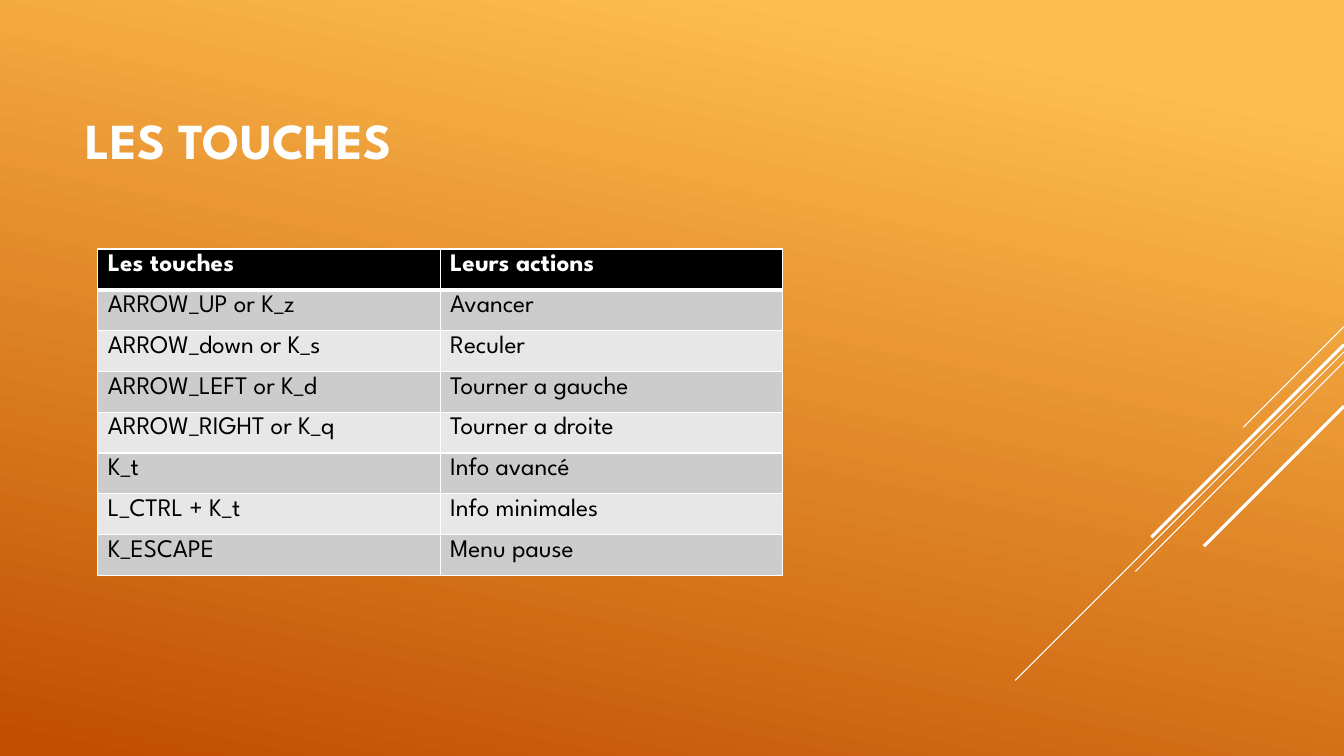
from typing import Any, NamedTuple

from lxml.etree import SubElement
from pptx import Presentation
from pptx.dml.color import RGBColor
from pptx.enum.shapes import MSO_CONNECTOR as Connector
from pptx.enum.text import MSO_ANCHOR as Anchor
from pptx.oxml import parse_xml
from pptx.oxml.ns import nsdecls, qn
from pptx.slide import Slide
from pptx.table import _Cell as Cell
from pptx.util import Inches, Pt

FONT = "League Spartan"
WHITE, BLACK = "FFFFFF", "000000"
BANDS = ("CCCCCC", "E7E7E7")
RIGHT_EDGE = 13.33


class Ray(NamedTuple):
    """A diagonal line from the right edge of the slide."""
    top: float
    end_x: float
    end_y: float
    weight: float


class KeyBinding(NamedTuple):
    key: str
    action: str


RAYS = [
    Ray(3.24, 12.33, 4.24, 0.75),
    Ray(3.49, 10.07, 6.75, 0.75),
    Ray(3.59, 11.26, 5.67, 0.75),
    Ray(3.42, 11.42, 5.33, 2.25),
    Ray(4.03, 11.94, 5.42, 2.25),
]
BINDINGS = [
    KeyBinding("Les touches", "Leurs actions"),
    KeyBinding("ARROW_UP or K_z", "Avancer"),
    KeyBinding("ARROW_down or K_s", "Reculer"),
    KeyBinding("ARROW_LEFT or K_d", "Tourner a gauche"),
    KeyBinding("ARROW_RIGHT or K_q", "Tourner a droite"),
    KeyBinding("K_t", "Info avancé"),
    KeyBinding("L_CTRL + K_t", "Info minimales"),
    KeyBinding("K_ESCAPE", "Menu pause"),
]


def rgb(value: str) -> RGBColor:
    return RGBColor.from_string(value)


def write(frame: Any, text: str, size: float, color: str, bold: bool) -> None:
    run = frame.paragraphs[0].add_run()
    run.text = text
    for name, value in {"name": FONT, "size": Pt(size), "bold": bold}.items():
        setattr(run.font, name, value)
    run.font.color.rgb = rgb(color)


def paint_background(slide: Slide) -> None:
    fill = slide.background.fill
    fill.gradient()
    fill.gradient_angle = 360 - 102
    for stop, (position, color) in zip(
        fill.gradient_stops, [(0.1, "FFBF50"), (1, "C04D00")]
    ):
        stop.position = position
        stop.color.rgb = rgb(color)


def draw_ray(slide: Slide, ray: Ray) -> None:
    line = slide.shapes.add_connector(
        Connector.STRAIGHT, Inches(RIGHT_EDGE), Inches(ray.top),
        Inches(ray.end_x), Inches(ray.end_y),
    )
    line.line.color.rgb = rgb(WHITE)
    line.line.width = Pt(ray.weight)
    SubElement(line._element.spPr, qn("a:effectLst"))


def add_title(slide: Slide, text: str) -> None:
    title = slide.shapes.add_textbox(
        Inches(0.75), Inches(0.75), Inches(9.33), Inches(1.27)
    )
    frame = title.text_frame
    for name, value in {"word_wrap": True, "vertical_anchor": Anchor.MIDDLE}.items():
        setattr(frame, name, value)
    write(frame, text, 36, WHITE, True)


def set_borders(cell: Cell, weights: dict[str, float]) -> None:
    properties = cell._tc.get_or_add_tcPr()
    for index, (side, weight) in enumerate(weights.items()):
        properties.insert(index, parse_xml(
            f'<a:ln{side} {nsdecls("a")} w="{Pt(weight)}"><a:solidFill>'
            f'<a:srgbClr val="{WHITE}"/></a:solidFill></a:ln{side}>'
        ))


def add_bindings(slide: Slide, bindings: list[KeyBinding]) -> None:
    table = slide.shapes.add_table(
        len(bindings), 2, Inches(0.97), Inches(2.47), Inches(6.79), Inches(3.24)
    ).table
    for row, binding in enumerate(bindings):
        header = row == 0
        for column, text in enumerate(binding):
            cell = table.cell(row, column)
            cell.fill.solid()
            cell.fill.fore_color.rgb = rgb(BLACK if header else BANDS[(row - 1) % 2])
            set_borders(cell, {
                "L": 1, "R": 1, "T": 3 if row == 1 else 1, "B": 3 if header else 1
            })
            write(cell.text_frame, text, 18, WHITE if header else BLACK, header)


def main() -> None:
    deck = Presentation()
    deck.slide_width, deck.slide_height = Inches(RIGHT_EDGE), Inches(7.5)
    slide = deck.slides.add_slide(deck.slide_layouts[6])
    paint_background(slide)
    for ray in RAYS:
        draw_ray(slide, ray)
    add_title(slide, "LES TOUCHES")
    add_bindings(slide, BINDINGS)
    deck.save("out.pptx")


if __name__ == "__main__":
    main()
